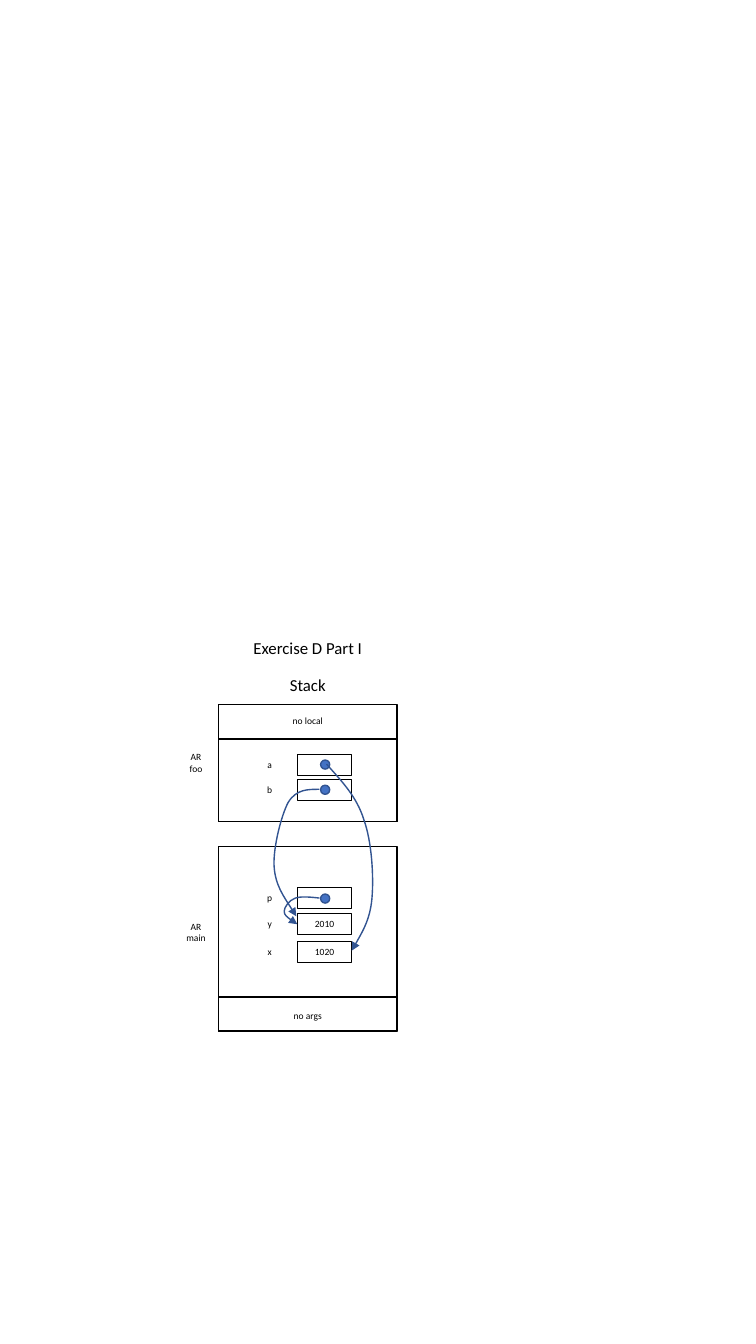
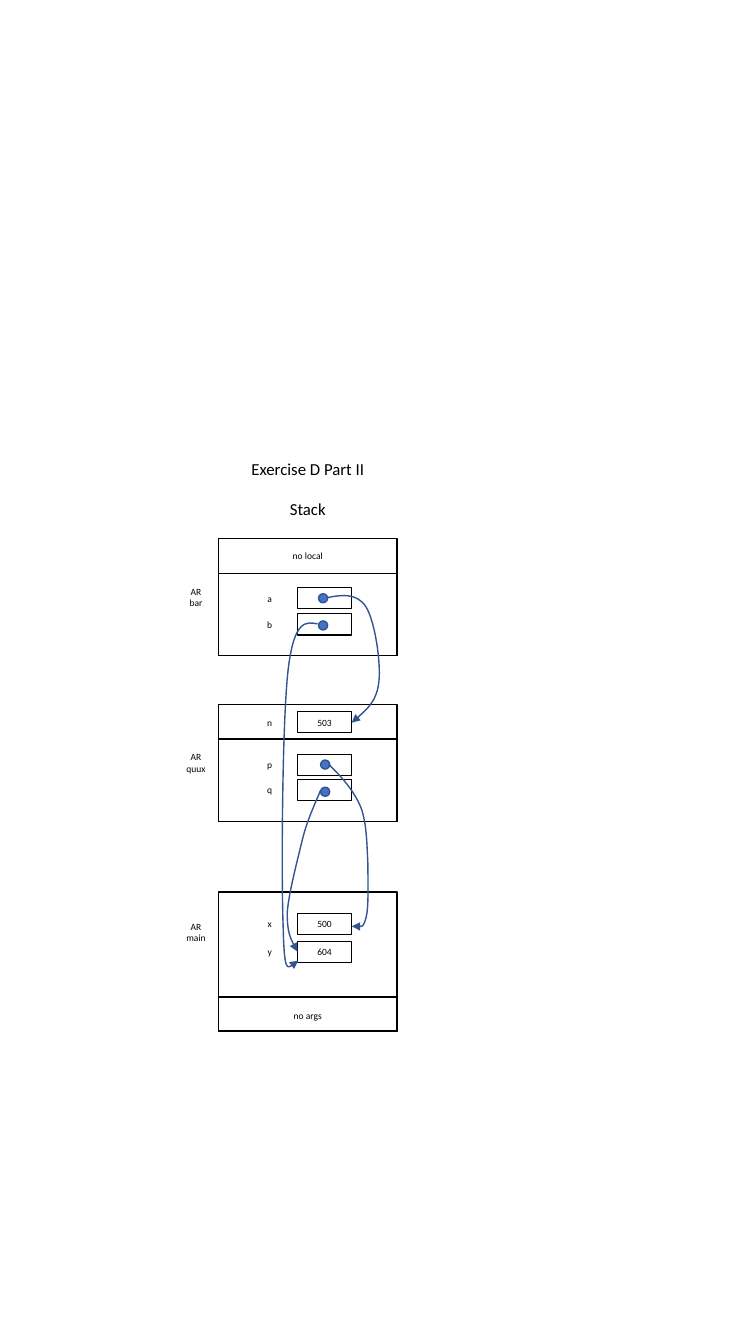
from dataclasses import dataclass

from lxml.etree import SubElement
from pptx import Presentation
from pptx.dml.color import RGBColor
from pptx.enum.shapes import MSO_SHAPE
from pptx.enum.text import MSO_ANCHOR, MSO_AUTO_SIZE, PP_ALIGN
from pptx.oxml.ns import qn
from pptx.util import Pt

FONT = "Calibri"
BLACK, WHITE, DOT_FILL, ARROW = "000000", "FFFFFF", "4472C4", "325491"
HEADING_SIZE, LABEL_SIZE = 12, 6.8
STACK_LEFT, STACK_WIDTH = 156.2, 127.4
OWNER_LEFT, OWNER_WIDTH, OWNER_HEIGHT = 124.2, 31.7, 23.8
NAME_LEFT, CELL_LEFT, CELL_WIDTH = 173.2, 212.4, 38.9
ROW_HEIGHT, HEADING_HEIGHT, DOT_SIZE = 15.1, 21.6, 6.5

Point = tuple[float, float]


@dataclass
class Record:
    """An activation record, divided in two at the split height."""
    owner: str
    owner_top: float
    top: float
    split: float
    bottom: float
    caption: str = ""
    caption_top: float = 0


@dataclass
class Slot:
    """A named memory cell, with its value if it holds a number."""
    name: str
    top: float
    value: str = ""


@dataclass
class Pointer:
    """A dot at its corner and a curve: a start, then three points a bend."""
    dot: Point
    curve: list[Point]


@dataclass
class Diagram:
    """All that one page shows."""
    title: str
    title_top: float
    stack_top: float
    records: list[Record]
    slots: list[Slot]
    pointers: list[Pointer]


def color(code: str) -> RGBColor:
    """Turn a hex string into a colour."""
    return RGBColor.from_string(code)


def write(box, lines: list[str], size: float) -> None:
    """Write centred paragraphs into a shape."""
    frame = box.text_frame
    frame.auto_size = MSO_AUTO_SIZE.NONE
    frame.word_wrap = True
    frame.vertical_anchor = MSO_ANCHOR.MIDDLE
    frame.margin_left = frame.margin_right = Pt(0)
    frame.margin_top = frame.margin_bottom = Pt(0)
    for index, line in enumerate(lines):
        para = frame.add_paragraph() if index else frame.paragraphs[0]
        para.alignment = PP_ALIGN.CENTER
        span = para.add_run()
        span.text = line
        span.font.name = FONT
        span.font.size = Pt(size)
        span.font.color.rgb = color(BLACK)


def add_text(page, left: float, top: float, width: float, height: float,
             lines: list[str], size: float = LABEL_SIZE) -> None:
    """Add a text box."""
    box = page.shapes.add_textbox(Pt(left), Pt(top), Pt(width), Pt(height))
    write(box, lines, size)


def paint(shape, fill: str | None, line: str, weight: float) -> None:
    """Set fill and outline, and take the shadow away."""
    shape.shadow.inherit = False
    if fill:
        shape.fill.solid()
        shape.fill.fore_color.rgb = color(fill)
    else:
        shape.fill.background()
    shape.line.color.rgb = color(line)
    shape.line.width = Pt(weight)


def add_box(page, left: float, top: float, width: float, height: float,
            fill: str | None = WHITE, line: str = BLACK, weight: float = 1,
            kind: MSO_SHAPE = MSO_SHAPE.RECTANGLE):
    """Add a painted preset shape."""
    box = page.shapes.add_shape(kind, Pt(left), Pt(top), Pt(width), Pt(height))
    paint(box, fill, line, weight)
    return box


def draw_record(page, record: Record) -> None:
    """Draw the frame of a record, its lower part, owner and caption."""
    for top in (record.top, record.split):
        add_box(page, STACK_LEFT, top, STACK_WIDTH, record.bottom - top)
    add_text(page, OWNER_LEFT, record.owner_top, OWNER_WIDTH, OWNER_HEIGHT,
             ["AR", record.owner])
    if record.caption:
        add_text(page, STACK_LEFT, record.caption_top, STACK_WIDTH, ROW_HEIGHT,
                 [record.caption])


def draw_slot(page, slot: Slot) -> None:
    """Draw a cell with its name on the left."""
    add_text(page, NAME_LEFT, slot.top, CELL_WIDTH, ROW_HEIGHT, [slot.name])
    cell = add_box(page, CELL_LEFT, slot.top, CELL_WIDTH, ROW_HEIGHT,
                   fill=None, weight=0.75)
    if slot.value:
        write(cell, [slot.value], LABEL_SIZE)


def draw_pointer(page, pointer: Pointer) -> None:
    """Draw a dot and the curved arrow that leaves it."""
    add_box(page, *pointer.dot, DOT_SIZE, DOT_SIZE, DOT_FILL, ARROW,
            kind=MSO_SHAPE.OVAL)
    start, *rest = [(Pt(x), Pt(y)) for x, y in pointer.curve]
    builder = page.shapes.build_freeform(*start)
    builder.add_line_segments(rest, close=False)
    arrow = builder.convert_to_shape()
    paint(arrow, None, ARROW, 1)
    # Each three straight segments become the points of one Bezier bend.
    segments = list(arrow.element.iter(qn("a:lnTo")))
    for bend in zip(segments[0::3], segments[1::3], segments[2::3]):
        outline = bend[0].getparent()
        curve = SubElement(outline, qn("a:cubicBezTo"))
        for segment in bend:
            curve.append(segment[0])
            outline.remove(segment)
    line = arrow.element.find(".//" + qn("a:ln"))
    SubElement(line, qn("a:tailEnd"), type="triangle")


def draw_diagram(deck, diagram: Diagram) -> None:
    """Add a page with one stack diagram."""
    page = deck.slides.add_slide(deck.slide_layouts.get_by_name("Title Only"))
    title = page.shapes.title
    title.left, title.top = Pt(STACK_LEFT), Pt(diagram.title_top)
    title.width, title.height = Pt(STACK_WIDTH), Pt(HEADING_HEIGHT)
    write(title, [diagram.title], HEADING_SIZE)
    add_text(page, STACK_LEFT, diagram.stack_top, STACK_WIDTH, HEADING_HEIGHT,
             ["Stack"], HEADING_SIZE)
    for record in diagram.records:
        draw_record(page, record)
    for slot in diagram.slots:
        draw_slot(page, slot)
    for pointer in diagram.pointers:
        draw_pointer(page, pointer)


def main_record(top: float) -> Record:
    """Give the record of main, which differs only in its top."""
    return Record("main", 653.8, top, 712.1, 736.6, "no args", 717.8)


DIAGRAMS = [
    Diagram(
        "Exercise D Part I", 452.2, 478.1,
        [Record("foo", 532.8, 503.3, 527.8, 586.8, "no local", 506.9),
         main_record(604.8)],
        [Slot("a", 538.6), Slot("b", 556.6), Slot("p", 633.6),
         Slot("y", 652.3, "2010"), Slot("x", 672.5, "1020")],
        [Pointer((229, 638.6), [
            (228.2, 641.5), (221.8, 640.8), (215.3, 640.1), (211, 641.5),
            (206.6, 643), (203, 648), (203, 650.9),
            (203, 653.8), (208.1, 657.4), (212.4, 660.2)]),
         Pointer((229, 560.9), [
             (228.2, 563.8), (219.6, 563.8), (211.7, 563.8), (205.9, 573.1),
             (200.9, 582.5), (195.1, 605.5), (195.8, 618.5),
             (196.6, 632.2), (204.5, 643), (211.7, 654.5)]),
         Pointer((229, 542.9), [
             (233.3, 545.8), (243.4, 557.3), (254.9, 568.8), (259.9, 585.4),
             (265.7, 601.2), (267.1, 626.4), (265.7, 642.2),
             (264.2, 658.1), (251.3, 679), (251.3, 679)])]),
    Diagram(
        "Exercise D Part II", 324, 352.8,
        [Record("bar", 414.7, 384.5, 409.7, 468.4, "no local", 389.5),
         Record("quux", 532.8, 503.3, 527.8, 586.8),
         main_record(637.2)],
        [Slot("a", 419.8), Slot("b", 438.5), Slot("n", 508.3, "503"),
         Slot("p", 538.6), Slot("q", 556.6),
         Slot("x", 652.3, "500"), Slot("y", 672.5, "604")],
        [Pointer((229, 562.3), [
            (229, 564.5), (224.6, 575.3), (219.6, 585.4), (216, 599.8),
            (212.4, 614.9), (205.9, 639.4), (205.2, 652.3),
            (205.2, 666), (208.8, 673.2), (212.4, 679.7)]),
         Pointer((229, 542.9), [
             (234.7, 545.8), (244.1, 555.1), (252.7, 564.5), (257.8, 576.7),
             (262.1, 588.2), (262.1, 604.1), (262.8, 617),
             (262.8, 630.7), (263.5, 648.7), (261.4, 655.9),
             (259.2, 663.1), (255.6, 662.4), (251.3, 661.7)]),
         Pointer((227.5, 424.1), [
             (233.3, 427), (244.1, 424.8), (254.9, 423.4), (261.4, 433.4),
             (267.8, 443.5), (272.2, 473), (270.7, 486.7),
             (269.3, 500.4), (260.6, 508.3), (251.3, 516.2)]),
         Pointer((227.5, 443.5), [
             (226.8, 445.7), (218.9, 444.2), (210.2, 442.1), (205.9, 478.1),
             (201.6, 514.1), (200.9, 627.1), (202.3, 661.7),
             (203, 696.2), (208.1, 691.2), (213.1, 686.2)])]),
]

deck = Presentation()
deck.slide_width, deck.slide_height = Pt(540), Pt(960)
for diagram in DIAGRAMS:
    draw_diagram(deck, diagram)
deck.save("out.pptx")
